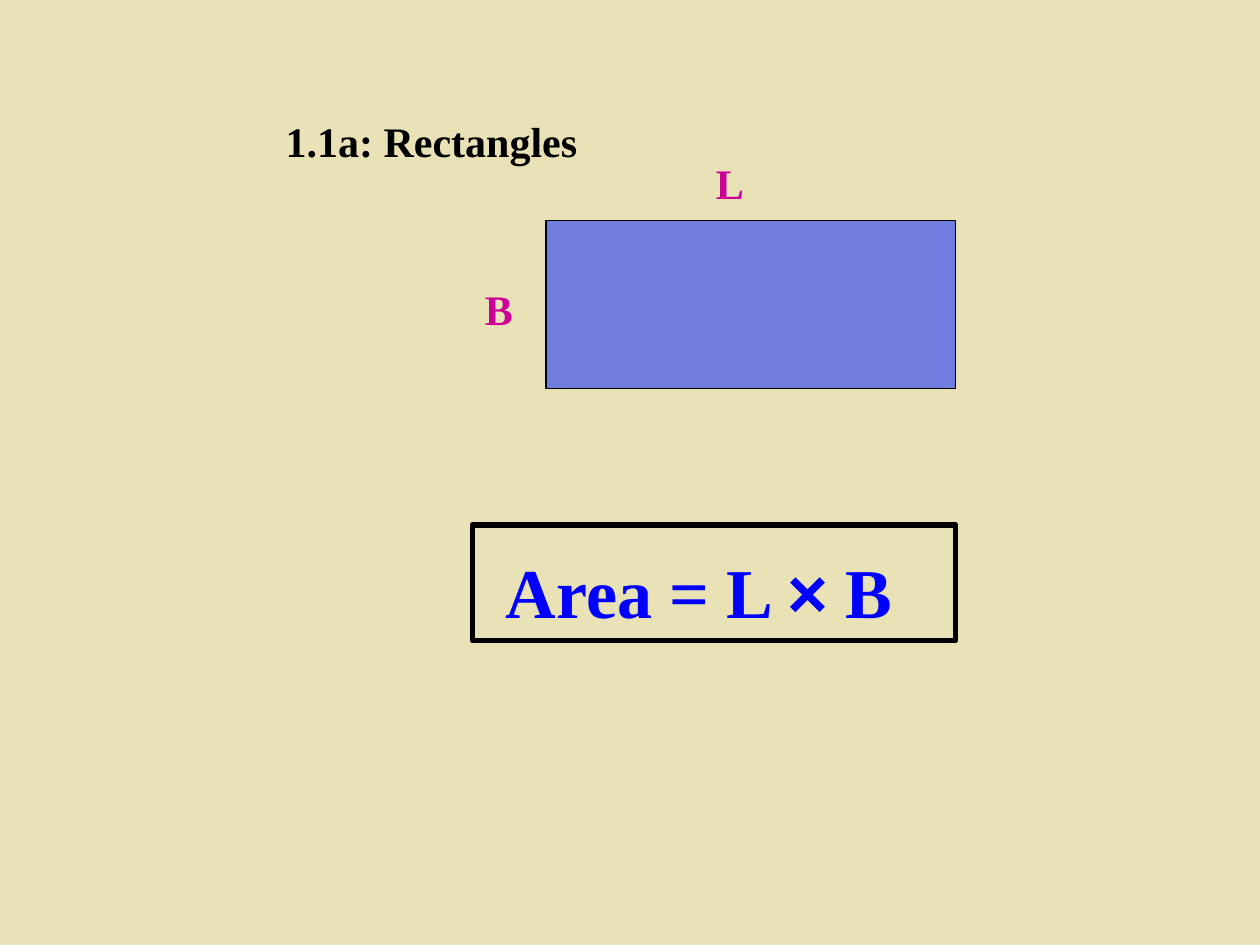
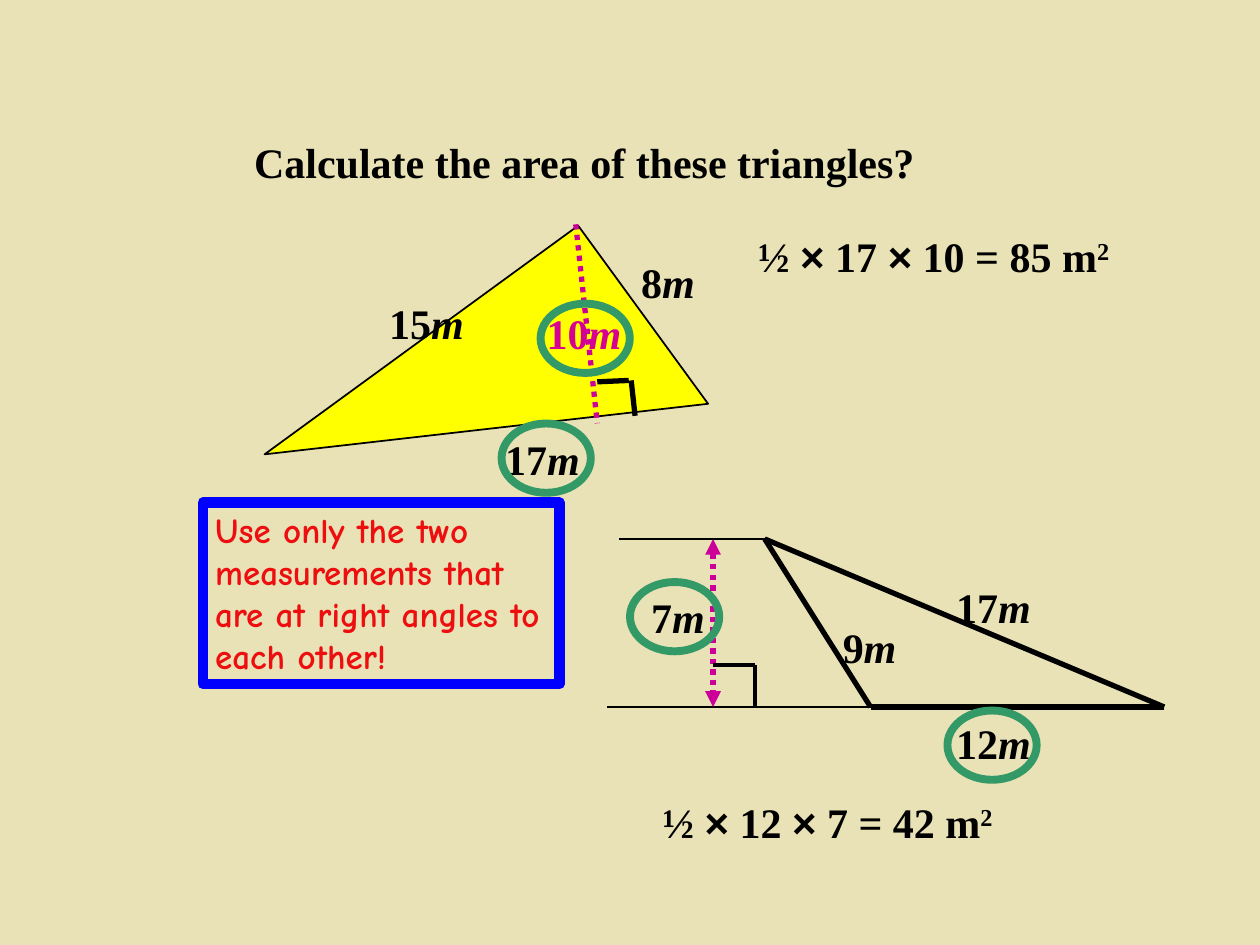
from lxml.etree import SubElement
from pptx import Presentation
from pptx.dml.color import RGBColor
from pptx.enum.dml import MSO_LINE_DASH_STYLE as Dash
from pptx.enum.shapes import MSO_CONNECTOR, MSO_SHAPE as Preset
from pptx.enum.text import MSO_ANCHOR, MSO_AUTO_SIZE, PP_ALIGN
from pptx.oxml.ns import qn
from pptx.util import Pt

COLOURS = {
    "background": "E9E2B6", "black": "000000", "rectangle": "727DE0",
    "blue": "0000FF", "magenta": "CC0099", "height": "D60093",
    "yellow": "FFFF00", "ring": "339966", "hint": "ED0F0F",
}
SERIF, SYMBOL, COMIC = "Times New Roman", "Arial", "Comic Neue"
LABEL_HEIGHT = 36
RING_SIZE = (51, 39.6)


def colour(name):
    return RGBColor.from_string(COLOURS[name])


class Lesson:
    """Holds the shared style and the current slide."""

    def __init__(self):
        self.presentation = Presentation()
        self.presentation.slide_width = Pt(720)
        self.presentation.slide_height = Pt(540)
        self.slide = None

    def new_slide(self, title, left, top, width):
        layout = self.presentation.slide_layouts[5]
        self.slide = self.presentation.slides.add_slide(layout)
        fill = self.slide.background.fill
        fill.solid()
        fill.fore_color.rgb = colour("background")
        shape = self.slide.shapes.title
        shape.left, shape.top = Pt(left), Pt(top)
        shape.width, shape.height = Pt(width), Pt(LABEL_HEIGHT)
        self.fill_text(shape, [title])

    def fill_text(self, shape, parts, size=24, ink="black", font=SERIF, rise=0.1):
        """Fill a shape; each part is a string or (string, "italic" / "super")."""
        frame = shape.text_frame
        frame.word_wrap = True
        frame.auto_size = MSO_AUTO_SIZE.NONE
        frame.vertical_anchor = MSO_ANCHOR.TOP
        frame.margin_left = frame.margin_right = Pt(7.2)
        frame.margin_top, frame.margin_bottom = Pt(3.6 + rise * size), Pt(0)
        paragraph = frame.paragraphs[0]
        paragraph.alignment = PP_ALIGN.LEFT
        paragraph.space_before = Pt(0)
        for part in parts:
            text, style = (part, None) if isinstance(part, str) else part
            run = paragraph.add_run()
            run.text = text
            run.font.name = SYMBOL if text == "×" else font
            run.font.size = Pt(size)
            run.font.bold = True
            run.font.color.rgb = colour(ink)
            if style == "italic":
                run.font.italic = True
            elif style == "super":
                run._r.get_or_add_rPr().set("baseline", "30000")

    def text(self, parts, left, top, width, height=LABEL_HEIGHT, **style):
        box = self.slide.shapes.add_textbox(Pt(left), Pt(top), Pt(width), Pt(height))
        self.fill_text(box, parts, **style)

    def measurement(self, metres, left, top, ink="black"):
        self.text([metres, ("m", "italic")], left, top, 60, ink=ink)

    def answer(self, base, height, area, left, top, width):
        parts = ["½ ", "×", f" {base} ", "×", f" {height} = {area} m", ("2", "super")]
        self.text(parts, left, top, width)

    def shape(self, preset, left, top, width, height, line, weight, fill=None):
        shape = self.slide.shapes.add_shape(
            preset, Pt(left), Pt(top), Pt(width), Pt(height))
        shape.shadow.inherit = False
        if fill:
            shape.fill.solid()
            shape.fill.fore_color.rgb = colour(fill)
        else:
            shape.fill.background()
        shape.line.color.rgb = colour(line)
        shape.line.width = Pt(weight)
        return shape

    def ring(self, left, top):
        self.shape(Preset.OVAL, left, top, *RING_SIZE, "ring", 4.5)

    def line(self, start, end, weight=3, ink="black", dotted=False, arrows=False):
        connector = self.slide.shapes.add_connector(
            MSO_CONNECTOR.STRAIGHT, *(Pt(value) for value in (*start, *end)))
        connector.line.color.rgb = colour(ink)
        connector.line.width = Pt(weight)
        if dotted:
            connector.line.dash_style = Dash.ROUND_DOT
        if arrows:
            outline = connector.line._get_or_add_ln()
            for end_name in ("a:headEnd", "a:tailEnd"):
                SubElement(outline, qn(end_name), type="triangle")
        SubElement(connector._element.spPr, qn("a:effectLst"))


def rectangle_slide(lesson):
    lesson.new_slide("1.1a: Rectangles", 156, 60, 432)
    lesson.shape(Preset.RECTANGLE, 312, 126, 234, 96, "black", 1, "rectangle")
    lesson.text(["L"], 402, 84, 54, ink="magenta")
    lesson.text(["B"], 270, 156, 54, ink="magenta")

    # Framed formula
    lesson.text(["Area = L ", "×", " B"], 282, 306, 252, 55.5, size=40, ink="blue")
    lesson.shape(Preset.RECTANGLE, 270, 300, 276, 66, "black", 3.25)


def triangle_slide(lesson):
    lesson.new_slide("Calculate the area of these triangles?", 138, 72, 528)

    # Obtuse triangle with its sides
    apex, inner, outer = (437, 308), (497.5, 404), (665.3, 404)
    for start, end in ((apex, inner), (apex, outer), (outer, inner)):
        lesson.line(start, end)
    for metres, left, top in (("7", 365, 332), ("9", 474.5, 349),
                              ("17", 539.3, 326), ("12", 539.3, 404)):
        lesson.measurement(metres, left, top)

    # Its height, guide lines and right angle
    height_x, corner = 407.5, (431.3, 380)
    lesson.line((height_x, apex[1]), (height_x, inner[1]), ink="magenta",
                dotted=True, arrows=True)
    lesson.line(apex, (353.5, apex[1]), 1)
    lesson.line(inner, (347, inner[1]), 1)
    lesson.line((height_x, corner[1]), corner, 2.25)
    lesson.line(corner, (corner[0], inner[1]), 2.25)

    # Yellow triangle with its sides, right angle and height
    triangle = lesson.shape(Preset.RIGHT_TRIANGLE, 167, 182.2, 221.8, 126,
                            "black", 1, "yellow")
    triangle.rotation = 143.9
    for metres, left, top, ink in (("8", 359.3, 140.4, "black"),
                                   ("15", 215.3, 164.2, "black"),
                                   ("17", 281.5, 242, "black"),
                                   ("10", 305.3, 170, "height")):
        lesson.measurement(metres, left, top, ink)
    lesson.line((341.3, 218.2), (359.3, 217.4))
    lesson.line((360.7, 217.4), (362.9, 237.6))
    lesson.line((329, 128.2), (341.3, 241.9), ink="magenta", dotted=True)

    # Answers
    lesson.answer(17, 10, 85, 426.2, 126, 240)
    lesson.answer(12, 7, 42, 371.5, 449.3, 306)

    # Rings around the measurements to use
    for left, top in ((360, 332.6), (541.4, 406), (308.9, 173.5), (286.6, 242)):
        lesson.ring(left, top)

    # Hint
    hint = lesson.shape(Preset.RECTANGLE, 115.9, 287.3, 203.8, 103.7, "blue", 6)
    lesson.fill_text(hint, ["Use only the two measurements that are at right angles "
                            "to each other!"], size=20, ink="hint", font=COMIC, rise=0)


def main():
    lesson = Lesson()
    rectangle_slide(lesson)
    triangle_slide(lesson)
    lesson.presentation.save("out.pptx")


if __name__ == "__main__":
    main()
